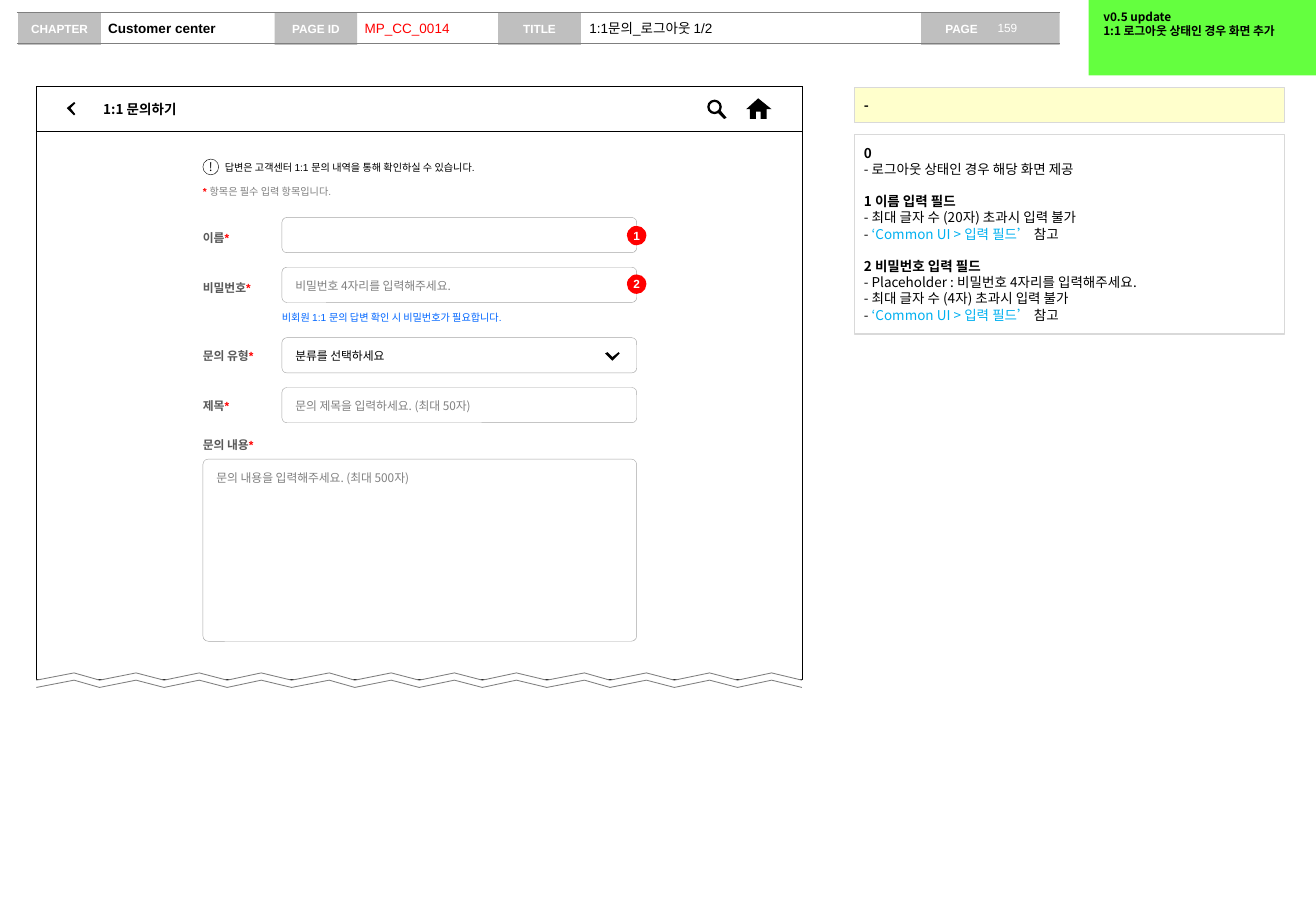
from lxml import etree
from pptx import Presentation
from pptx.dml.color import RGBColor
from pptx.enum.shapes import MSO_CONNECTOR, MSO_SHAPE
from pptx.enum.text import MSO_ANCHOR, MSO_AUTO_SIZE, PP_ALIGN
from pptx.oxml.ns import qn
from pptx.util import Inches, Pt

RECT, ROUND, OVAL, DONUT = (MSO_SHAPE.RECTANGLE, MSO_SHAPE.ROUNDED_RECTANGLE,
                            MSO_SHAPE.OVAL, MSO_SHAPE.DONUT)
TOP, MIDDLE = MSO_ANCHOR.TOP, MSO_ANCHOR.MIDDLE
LEFT, CENTER = PP_ALIGN.LEFT, PP_ALIGN.CENTER
ARIAL, NOTO = "Arial", "Noto Sans CJK KR"
BLACK, WHITE, RED, SILVER, GRAY = "000000", "FFFFFF", "FF0000", "BFBFBF", "808080"
DARK, BORDER, PALE, LINK = "595959", "A6A6A6", "D9D9D9", "00B0F0"
BULLETS = [qn("a:buNone"), qn("a:buChar"), qn("a:buAutoNum")]

# Content
HEADER_LABELS = [("CHAPTER", 0.15), ("PAGE ID", 2.26), ("TITLE", 4.1)]
HEADER_VALUES = [  # text, left, width, format
    ("Customer center", 0.83, 1.43, {"bold": True}),
    ("MP_CC_0014", 2.94, 1.16, {"color": RED}),
    ("1:1문의_로그아웃 1/2", 4.79, 2.8, {}),
]
UPDATE = ["v0.5 update", "1:1 로그아웃 상태인 경우 화면 추가"]
COMMON_UI = [("- ", {}), ("‘Common UI > 입력 필드’", {"color": LINK}), (" 참고", {})]
NOTES = [  # heading, lines
    ("0", ["- 로그아웃 상태인 경우 해당 화면 제공"]),
    ("1 이름 입력 필드", ["- 최대 글자 수 (20자) 초과시 입력 불가", COMMON_UI]),
    ("2 비밀번호 입력 필드", ["- Placeholder : 비밀번호 4자리를 입력해주세요.",
                     "- 최대 글자 수 (4자) 초과시 입력 불가", COMMON_UI]),
]
HINT = {"color": GRAY, "spacing": 1.3}
FIELDS = [  # label, label top, box (left, top, width, height), text, format
    ("이름", 1.9, (2.32, 1.79, 2.92, 0.29), "", {}),
    ("비밀번호", 2.31, (2.32, 2.2, 2.92, 0.29), "비밀번호 4자리를 입력해주세요.", HINT),
    ("문의 유형", 2.87, (2.32, 2.78, 2.92, 0.29), "분류를 선택하세요", {"anchor": MIDDLE}),
    ("제목", 3.28, (2.32, 3.19, 2.92, 0.29), "문의 제목을 입력하세요. (최대 50자)", HINT),
    ("문의 내용", 3.6, (1.67, 3.78, 3.57, 1.5), "문의 내용을 입력해주세요. (최대 500자)", HINT),
]
MARKERS = [("1", 1.86), ("2", 2.26)]
ICONS = {
    "back": [(0.62, 0.85), (0.61, 0.84), (0.55, 0.89), (0.61, 0.95), (0.62, 0.94), (0.58, 0.89)],
    "chevron": [(5.09, 2.9), (5.04, 2.94), (5, 2.9), (4.98, 2.91), (5.04, 2.97), (5.1, 2.91)],
    "home": [(6.22, 0.98), (6.22, 0.92), (6.26, 0.92), (6.26, 0.98), (6.31, 0.98), (6.31, 0.9),
             (6.35, 0.9), (6.24, 0.81), (6.14, 0.9), (6.17, 0.9), (6.17, 0.98)],
    "search handle": [(5.91, 0.93), (5.93, 0.91), (5.98, 0.97), (5.96, 0.98)],
}
TEAR_LEFT, TEAR_PERIOD, TEAR_COUNT = 0.3, 2.1, 3
TEAR_STEPS = [0, 0.31, 0.52, 0.82, 1.05, 1.34, 1.57, 1.85]

presentation = Presentation()
presentation.slide_width, presentation.slide_height = Inches(10.83), Inches(7.5)
slide = presentation.slides.add_slide(presentation.slide_layouts[3])
shapes = slide.shapes


def rgb(color):
    return RGBColor.from_string(color)


def paint(shape, fill=None, line=None, width=0.25):
    shape.shadow.inherit = False
    if fill:
        shape.fill.solid()
        shape.fill.fore_color.rgb = rgb(fill)
    else:
        shape.fill.background()
    if line:
        shape.line.color.rgb = rgb(line)
        shape.line.width = Pt(width)
    else:
        shape.line.fill.background()
    return shape


def add_box(kind, box, fill=None, line=None, width=0.25, adjust=None):
    shape = paint(shapes.add_shape(kind, *map(Inches, box)), fill, line, width)
    if adjust is not None:
        shape.adjustments[0] = adjust
    return shape


def add_outline(points, fill=None, line=None, width=0.5, close=True):
    builder = shapes.build_freeform(Inches(points[0][0]), Inches(points[0][1]))
    builder.add_line_segments([(Inches(x), Inches(y)) for x, y in points[1:]], close=close)
    return paint(builder.convert_to_shape(), fill, line, width)


def write(shape, paragraphs, size=7, font=NOTO, color=BLACK, bold=False, align=LEFT,
          anchor=TOP, insets=(0.1, 0.05, 0.1, 0.05), wrap=True, spacing=1, gaps=()):
    """Fill a shape; a paragraph is a string or a list of (text, format) runs."""
    frame = shape.text_frame
    left, top, right, bottom = map(Inches, insets)
    settings = {"auto_size": MSO_AUTO_SIZE.NONE, "word_wrap": wrap, "vertical_anchor": anchor,
                "margin_left": left, "margin_top": top, "margin_right": right,
                "margin_bottom": bottom}
    for name, value in settings.items():
        setattr(frame, name, value)
    for index, runs in enumerate(paragraphs):
        paragraph = frame.paragraphs[0] if index == 0 else frame.add_paragraph()
        paragraph.alignment = align
        paragraph.line_spacing = Pt(round(1.2 * size * spacing, 1))
        paragraph.space_before = Pt(1.2 * size if index in gaps else 0)
        for text, extra in [(runs, {})] if isinstance(runs, str) else runs:
            run = paragraph.add_run()
            run.text = text
            style = {"name": font, "size": Pt(size), "bold": extra.get("bold", bold)}
            for name, value in style.items():
                setattr(run.font, name, value)
            run.font.color.rgb = rgb(extra.get("color", color))
            latin = run.font._element.find(qn("a:latin"))
            east_asian = etree.Element(qn("a:ea"), typeface=NOTO)
            latin.addnext(east_asian)


def add_text(box, paragraphs, **style):
    style = {"insets": (0, 0, 0, 0), **style}
    write(shapes.add_textbox(*map(Inches, box)), paragraphs, **style)


# Header strip
tag = {"font": ARIAL, "color": WHITE, "anchor": MIDDLE, "wrap": False, "bold": True}
write(add_box(RECT, (7.58, 0.1, 1.14, 0.27), SILVER), ["PAGE"],
      insets=(0.2, 0.05, 0.1, 0.05), **tag)
add_text((8.17, 0.12, 0.55, 0.22), ["159"], font=ARIAL, color=WHITE, insets=(0.04, 0.05, 0, 0.05))
for label, left in HEADER_LABELS:
    write(add_box(RECT, (left, 0.1, 0.68, 0.27), SILVER), [label], align=CENTER, **tag)
for y in (0.1, 0.36):
    rule = shapes.add_connector(MSO_CONNECTOR.STRAIGHT, *map(Inches, (0.14, y, 8.72, y)))
    rule.line.color.rgb = rgb("7F7F7F")
    rule.line.width = Pt(0.75)
    etree.SubElement(rule._element.spPr, qn("a:effectLst"))
for holder, (text, left, width, style) in zip(slide.placeholders, HEADER_VALUES):
    holder.left, holder.top, holder.width, holder.height = map(Inches, (left, 0.11, width, 0.24))
    properties = holder.text_frame.paragraphs[0]._p.get_or_add_pPr()
    properties.set("marL", "0")
    properties.set("indent", "0")
    etree.SubElement(properties, BULLETS[0])
    write(holder, [text], size=8, font=ARIAL, anchor=MIDDLE, insets=(0.06, 0.05, 0, 0.05), **style)
write(add_box(RECT, (8.96, 0, 1.87, 0.62), "64FF3F"), UPDATE, bold=True,
      insets=(0.12, 0.08, 0.1, 0.05))

# Description column
note_paragraphs, heading_rows = [], []
for heading, lines in NOTES:
    heading_rows.append(len(note_paragraphs))
    note_paragraphs += [[(heading, {"bold": True})], *lines]
note_style = {"size": 8, "insets": (0.08,) * 4}
write(add_box(RECT, (7.03, 0.72, 3.54, 0.29), "FFFFCC", PALE, 0.75), ["-"], bold=True, **note_style)
write(add_box(RECT, (7.03, 1.11, 3.54, 1.64), None, PALE, 0.75), note_paragraphs,
      gaps=heading_rows[1:], **note_style)

# Screen frame and title bar
add_box(RECT, (0.3, 0.71, 6.3, 4.88), None, BLACK)
write(add_box(RECT, (0.3, 0.71, 6.3, 0.37), WHITE, BLACK), ["1:1 문의하기"], size=8, bold=True,
      anchor=MIDDLE, insets=(0.55, 0.05, 0.1, 0.05))

# Form
write(add_box(OVAL, (1.67, 1.31, 0.13, 0.13), WHITE, BLACK), ["!"], align=CENTER,
      anchor=MIDDLE, insets=(0, 0, 0, 0), wrap=False)
small = {"size": 6, "font": ARIAL, "anchor": MIDDLE, "wrap": False}
add_text((1.85, 1.33, 2.3, 0.1), ["답변은 고객센터 1:1 문의 내역을 통해 확인하실 수 있습니다."], **small)
add_text((1.67, 1.53, 1.18, 0.1),
         [[("* ", {"color": RED, "bold": True}), ("항목은 필수 입력 항목입니다.", {"color": GRAY})]], **small)
for label, label_top, box, text, style in FIELDS:
    field = add_box(ROUND, box, None, BORDER, adjust=round(0.04 / box[3], 2))
    if text:
        write(field, [text], **style)
    add_text((1.67, label_top, 0.6, 0.12), [[(label, {}), ("*", {"color": RED})]],
             font=ARIAL, color=DARK, bold=True)
add_text((2.32, 2.56, 2.92, 0.1), ["비회원 1:1 문의 답변 확인 시 비밀번호가 필요합니다."],
         size=6, font=ARIAL, color="0066FF")

# Torn lower edge
tear_x = [TEAR_LEFT + TEAR_PERIOD * part + step for part in range(TEAR_COUNT) for step in TEAR_STEPS]
tear_x.append(TEAR_LEFT + TEAR_PERIOD * TEAR_COUNT)
upper = [(x, 5.54 if index % 2 else 5.6) for index, x in enumerate(tear_x)]
lower = [(x, y + 0.06) for x, y in upper]
add_outline(upper + lower[::-1], WHITE)
for edge in (upper, lower):
    add_outline(edge, line=GRAY, close=False)

# Markers and icons
for number, top in MARKERS:
    write(add_box(OVAL, (5.16, top, 0.16, 0.16), RED), [number], font=ARIAL, color=WHITE, bold=True,
          align=CENTER, anchor=MIDDLE, insets=(0, 0, 0, 0), wrap=False)
for points in ICONS.values():
    add_outline(points, BLACK)
add_box(DONUT, (5.82, 0.82, 0.12, 0.12), BLACK, adjust=0.16)

presentation.save("out.pptx")
